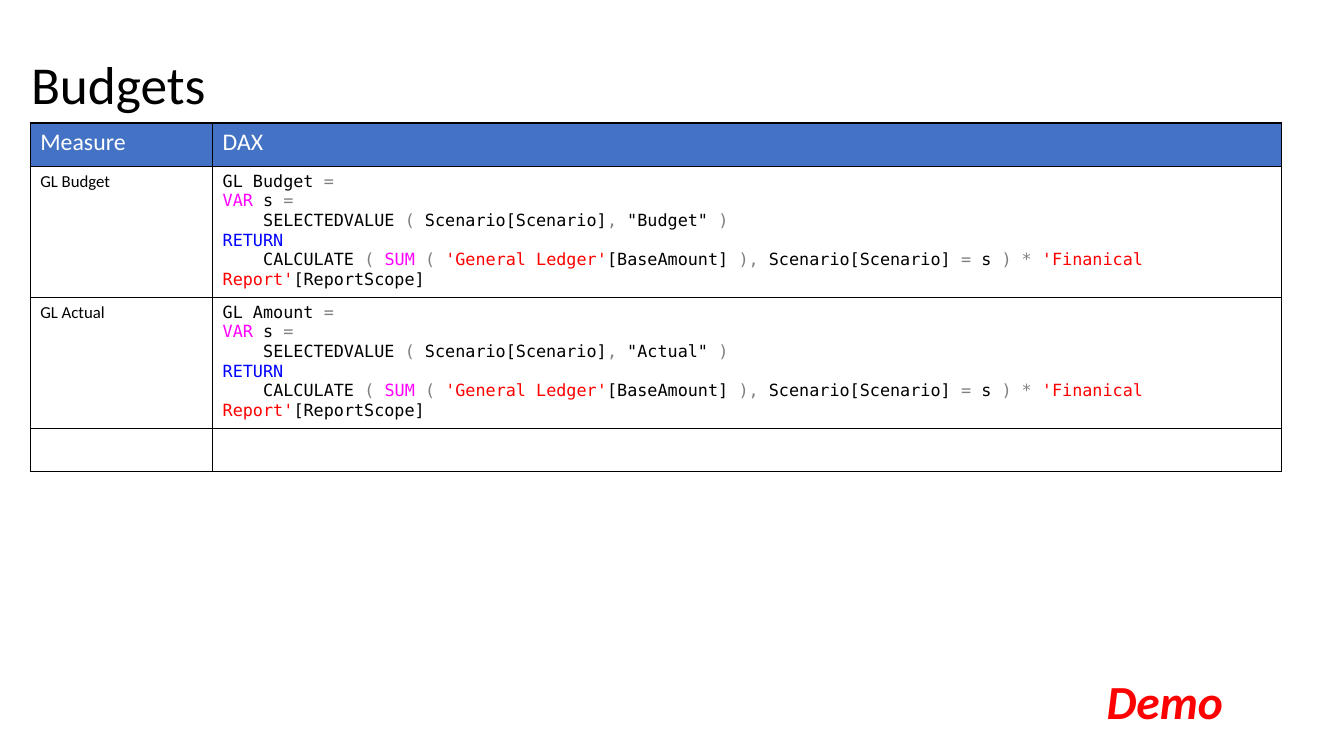
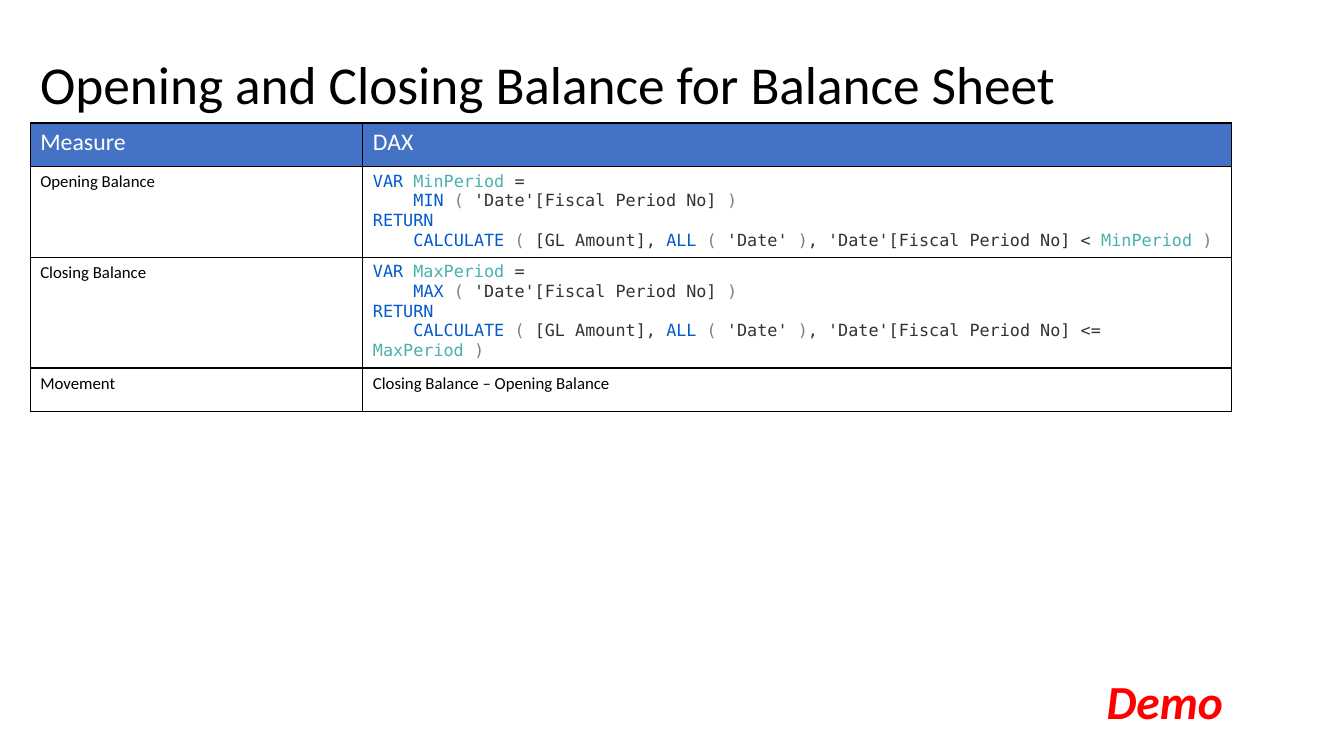
from dataclasses import dataclass

from lxml import etree
from pptx import Presentation
from pptx.dml.color import RGBColor
from pptx.enum.text import MSO_ANCHOR, MSO_AUTO_SIZE
from pptx.oxml.ns import qn
from pptx.util import Pt

MIDDLE = MSO_ANCHOR.MIDDLE
TOP = MSO_ANCHOR.TOP
GROW = MSO_AUTO_SIZE.SHAPE_TO_FIT_TEXT
NO_GROW = MSO_AUTO_SIZE.NONE

BODY_FONT = "Calibri"
CODE_FONT = "DejaVu Sans Mono"
BODY_SIZE = 12
CODE_INDENT = 28.9
HEADER_HEIGHT = 31
TABLE_LEFT, TABLE_TOP = 21.6, 87.84

COLORS = {
    "black": "000000",
    "white": "FFFFFF",
    "header": "4472C4",
    "demo": "FF0000",
    "punctuation": "808080",
    "keyword": "FF00FF",
    "return": "0000FF",
    "table_name": "FF0000",
    "function": "035ACA",
    "variable": "49B0AF",
    "code": "333333",
}


@dataclass(frozen=True)
class Span:
    text: str
    color: str = "black"


@dataclass(frozen=True)
class Line:
    spans: tuple[Span, ...]
    indent: float = 0
    font: str = CODE_FONT
    size: float = BODY_SIZE


@dataclass(frozen=True)
class Row:
    height: float
    cells: tuple[list[Line], list[Line]]
    fill: str = "white"


@dataclass(frozen=True)
class TableSlide:
    title: str
    title_left: float
    column_widths: tuple[float, float]
    rows: list[Row]


def code(*parts: tuple[str, str], indent: float = 0) -> Line:
    return Line(tuple(Span(text, color) for text, color in parts), indent)


def plain(text: str, size: float = BODY_SIZE, color: str = "black") -> list[Line]:
    return [Line((Span(text, color),), font=BODY_FONT, size=size)]


def budget_code(measure: str, scenario: str) -> list[Line]:
    return [
        code((f"{measure} ", "black"), ("=", "punctuation")),
        code(("VAR", "keyword"), (" s ", "black"), ("=", "punctuation")),
        code(
            ("SELECTEDVALUE ", "black"), ("(", "punctuation"),
            (" Scenario[Scenario]", "black"), (",", "punctuation"),
            (f' "{scenario}" ', "black"), (")", "punctuation"),
            indent=CODE_INDENT,
        ),
        code(("RETURN", "return")),
        code(
            ("CALCULATE ", "black"), ("( ", "punctuation"), ("SUM ", "keyword"),
            ("( ", "punctuation"), ("'General Ledger'", "table_name"),
            ("[BaseAmount] ", "black"), ("),", "punctuation"),
            (" Scenario[Scenario] ", "black"), ("=", "punctuation"),
            (" s ", "black"), (") * ", "punctuation"),
            ("'Finanical Report'", "table_name"), ("[ReportScope]", "black"),
            indent=CODE_INDENT,
        ),
    ]


def balance_code(variable: str, function: str, comparison: str) -> list[Line]:
    return [
        code(("VAR ", "function"), (variable, "variable"), (" =", "code")),
        code(
            (function, "function"), (" (", "punctuation"),
            (" 'Date'[Fiscal Period No] ", "code"), (")", "punctuation"),
            indent=CODE_INDENT,
        ),
        code(("RETURN", "function")),
        code(
            ("CALCULATE", "function"), (" (", "punctuation"),
            (" [GL Amount], ", "code"), ("ALL", "function"),
            (" (", "punctuation"), (" 'Date' ", "code"), (")", "punctuation"),
            (f", 'Date'[Fiscal Period No] {comparison} ", "code"),
            (f"{variable} ", "variable"), (")", "punctuation"),
            indent=CODE_INDENT,
        ),
    ]


HEADER = Row(
    HEADER_HEIGHT,
    (plain("Measure", 17, "white"), plain("DAX", 17, "white")),
    "header",
)

SLIDES = [
    TableSlide("Budgets", 15.12, (130.3, 763.2), [
        HEADER,
        Row(78, (plain("GL Budget"), budget_code("GL Budget", "Budget"))),
        Row(78, (plain("GL Actual"), budget_code("GL Amount", "Actual"))),
        Row(HEADER_HEIGHT, ([], [])),
    ]),
    TableSlide("Opening and Closing Balance for Balance Sheet", 21.6, (237.6, 620.6), [
        HEADER,
        Row(63.4, (plain("Opening Balance"), balance_code("MinPeriod", "MIN", "<"))),
        Row(63.4, (plain("Closing Balance"), balance_code("MaxPeriod", "MAX", "<="))),
        Row(HEADER_HEIGHT, (plain("Movement"), plain("Closing Balance – Opening Balance"))),
    ]),
]


def rgb(color: str) -> RGBColor:
    return RGBColor.from_string(COLORS[color])


def style_font(font, *, name: str, size: float, color: str,
               bold: bool = False, italic: bool = False) -> None:
    font.name = name
    font.size = Pt(size)
    font.bold = bold
    font.italic = italic
    font.color.rgb = rgb(color)


def add_text(page, text: str, left: float, top: float, width: float, height: float, *,
             size: float, color: str = "black", bold: bool = False,
             italic: bool = False, anchor=TOP, wrap: bool = True,
             grow: bool = False, line_spacing: float = 1.0) -> None:
    box = page.shapes.add_textbox(Pt(left), Pt(top), Pt(width), Pt(height))
    frame = box.text_frame
    frame.word_wrap = wrap
    frame.auto_size = GROW if grow else NO_GROW
    frame.vertical_anchor = anchor
    para = frame.paragraphs[0]
    para.line_spacing = line_spacing
    span = para.add_run()
    span.text = text
    style_font(span.font, name=BODY_FONT, size=size, color=color, bold=bold, italic=italic)


def add_borders(cell) -> None:
    properties = cell._tc.get_or_add_tcPr()
    for side in ("a:lnL", "a:lnR", "a:lnT", "a:lnB"):
        border = etree.SubElement(properties, qn(side), w=str(Pt(1)))
        fill = etree.SubElement(border, qn("a:solidFill"))
        etree.SubElement(fill, qn("a:srgbClr"), val=COLORS["black"])


def fill_cell(cell, lines: list[Line], fill: str) -> None:
    add_borders(cell)
    cell.fill.solid()
    cell.fill.fore_color.rgb = rgb(fill)
    frame = cell.text_frame
    for index, line in enumerate(lines):
        para = frame.add_paragraph() if index else frame.paragraphs[0]
        if line.indent:
            properties = para._p.get_or_add_pPr()
            properties.set("marL", "0")
            properties.set("indent", str(Pt(line.indent)))
        for part in line.spans:
            span = para.add_run()
            span.text = part.text
            style_font(span.font, name=line.font, size=line.size, color=part.color)


def add_measure_table(page, content: TableSlide) -> None:
    frame = page.shapes.add_table(
        len(content.rows), len(content.column_widths), Pt(TABLE_LEFT), Pt(TABLE_TOP),
        Pt(sum(content.column_widths)), Pt(sum(row.height for row in content.rows)),
    )
    table = frame.table
    table.horz_banding = False
    for column, width in zip(table.columns, content.column_widths):
        column.width = Pt(width)
    for table_row, row in zip(table.rows, content.rows):
        table_row.height = Pt(row.height)
        for cell, lines in zip(table_row.cells, row.cells):
            fill_cell(cell, lines, row.fill)


def add_slide(deck, content: TableSlide) -> None:
    page = deck.slides.add_slide(deck.slide_layouts[6])
    add_text(page, content.title, content.title_left, 32.4, 900, 59.76,
             size=38.1, anchor=MIDDLE, line_spacing=0.9)
    add_text(page, "Demo", 783.36, 476.64, 98.64, 48.24, size=33.9, color="demo",
             bold=True, italic=True, wrap=False, grow=True)
    add_measure_table(page, content)


def main() -> None:
    deck = Presentation()
    deck.slide_width = Pt(960)
    deck.slide_height = Pt(540)
    for content in SLIDES:
        add_slide(deck, content)
    deck.save("out.pptx")


if __name__ == "__main__":
    main()
